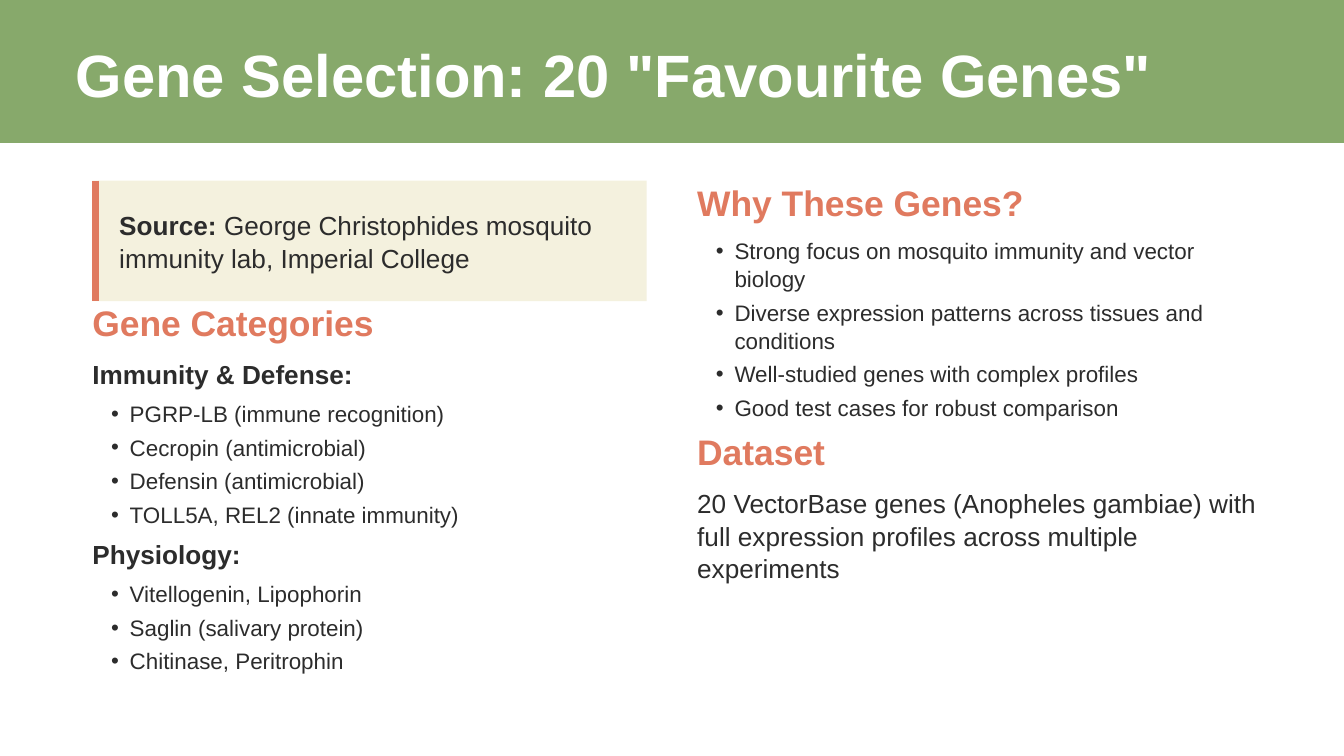
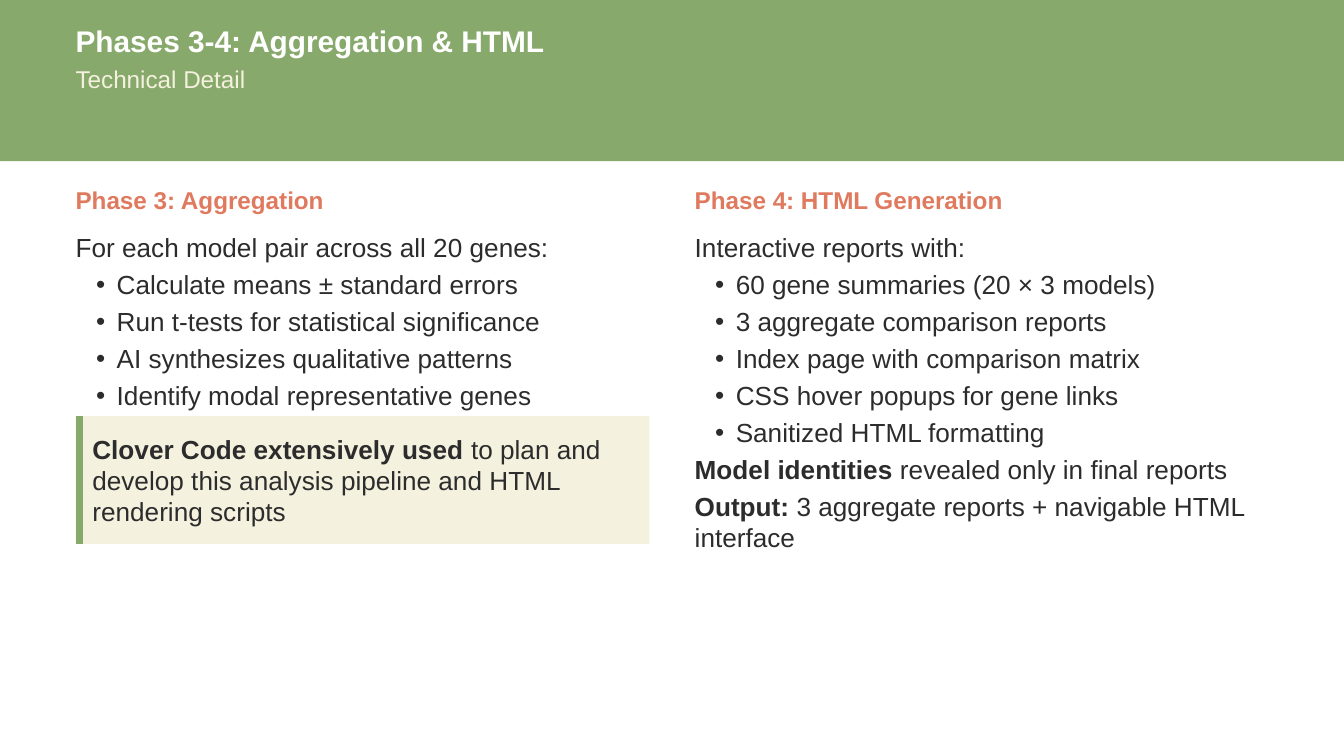
from dataclasses import dataclass

from lxml import etree
from pptx import Presentation, util as u
from pptx.dml.color import RGBColor
from pptx.enum import shapes, text
from pptx.oxml.ns import qn

COLS, ROWS = 160, 90
PT_PER_ROW = 4.5
FONT_LINE = 1.15    # natural line height of the font
TEXT_SLACK = 1.02   # running text is slightly wider than its column


@dataclass(frozen=True)
class Density:
    """Type sizes and spacing (points), places and padding (grid cells)."""
    band: float
    title_row: float
    title: float
    heading: float
    heading_gap: float
    body: float
    body_line: float
    body_gap: float
    item: float
    item_line: float
    list_gap: float
    indent: float
    card_pad: tuple
    accent: str


@dataclass(frozen=True)
class Theme:
    font: str = "Arial"
    green: str = "87A96B"
    coral: str = "E07A5F"
    cream: str = "F4F1DE"
    ink: str = "2C2C2C"
    white: str = "FFFFFF"
    item_gap: float = 3
    bar: float = 3.75
    subtitle: float = 13
    subtitle_line: float = 15.6
    roomy: Density = Density(
        band=17, title_row=4.5, title=32, heading=19, heading_gap=8,
        body=14, body_line=17.5, body_gap=5, item=12, item_line=15,
        list_gap=5, indent=10, card_pad=(3.2, 3.3), accent="E07A5F")
    compact: Density = Density(
        band=19.2, title_row=2.7, title=16, heading=13, heading_gap=10,
        body=14, body_line=16.8, body_gap=3, item=14, item_line=16.8,
        list_gap=3, indent=11, card_pad=(2, 2), accent="87A96B")


class Deck:
    def __init__(self, theme):
        self.theme = theme
        self.prs = Presentation()
        self.prs.slide_width = u.Inches(10)
        self.prs.slide_height = u.Inches(5.625)

    def x(self, cols):
        return round(self.prs.slide_width * cols / COLS)

    def y(self, rows):
        return round(self.prs.slide_height * rows / ROWS)

    def start(self, title, density, margin, gap, top):
        """Open a slide with its band, title and two columns."""
        self.d, self.top = density, top
        self.slide = self.prs.slides.add_slide(self.prs.slide_layouts[4])
        self.width = (COLS - 2 * margin - gap) / 2
        self.lefts = (margin, margin + self.width + gap)
        self.bodies = [p for p in self.slide.placeholders
                       if p.placeholder_format.idx]
        band = self.rect(0, 0, COLS, density.band, self.theme.green)
        band.element.getparent().insert(2, band.element)
        tf = self.frame(self.slide.shapes.title, 9, density.title_row, 145,
                        density.title * FONT_LINE / PT_PER_ROW)
        self.add_runs(tf.paragraphs[0], [(title, True)], density.title,
                      self.theme.white)

    def finish(self):
        """Drop the placeholders that the slide does not use."""
        for sp in self.bodies:
            sp.element.getparent().remove(sp.element)

    def column(self, number):
        self.left, self.row = self.lefts[number], self.top

    def advance(self, rows, gap=0):
        self.row += rows + gap / PT_PER_ROW

    def rect(self, left, top, width, height, color):
        sp = self.slide.shapes.add_shape(
            shapes.MSO_SHAPE.RECTANGLE, self.x(left), self.y(top),
            self.x(width), self.y(height))
        sp.shadow.inherit = False
        sp.fill.solid()
        sp.fill.fore_color.rgb = RGBColor.from_string(color)
        sp.line.fill.background()
        return sp

    def frame(self, sp, left, top, width, height, inset=0):
        """Place a text holder and clear its margins."""
        sp.left, sp.top = self.x(left), self.y(top)
        sp.width, sp.height = self.x(width), self.y(height)
        tf = sp.text_frame
        tf.word_wrap = True
        tf.auto_size = text.MSO_AUTO_SIZE.NONE
        tf.vertical_anchor = text.MSO_ANCHOR.TOP
        tf.margin_left = u.Pt(inset)
        tf.margin_top = tf.margin_right = tf.margin_bottom = 0
        return tf

    def box(self, *place):
        return self.frame(self.slide.shapes.add_textbox(0, 0, 0, 0), *place)

    def add_runs(self, p, runs, size, color, line=None, after=0):
        p.alignment = text.PP_ALIGN.LEFT
        p.space_before, p.space_after = u.Pt(0), u.Pt(after)
        if line:
            p.line_spacing = u.Pt(line)
        for words, bold in runs:
            r = p.add_run()
            r.text = words
            r.font.name, r.font.size, r.font.bold = (
                self.theme.font, u.Pt(size), bold)
            r.font.color.rgb = RGBColor.from_string(color)

    def subtitle(self, words):
        t = self.theme
        tf = self.box(9, 7.7, 145, t.subtitle_line / PT_PER_ROW)
        self.add_runs(tf.paragraphs[0], [(words, False)], t.subtitle, t.cream,
                      t.subtitle_line)

    def heading(self, words):
        d = self.d
        height = d.heading * FONT_LINE / PT_PER_ROW
        tf = self.box(self.left, self.row, self.width * TEXT_SLACK, height)
        self.add_runs(tf.paragraphs[0], [(words, True)], d.heading,
                      self.theme.coral, after=d.heading_gap)
        self.advance(height, d.heading_gap)

    def body(self, tf, runs):
        d = self.d
        self.add_runs(tf.paragraphs[0], runs, d.body, self.theme.ink,
                      d.body_line, d.body_gap)

    def paragraph(self, *runs, lines=1):
        height = lines * self.d.body_line / PT_PER_ROW
        self.body(self.box(self.left, self.row, self.width * TEXT_SLACK,
                           height), runs)
        self.advance(height, self.d.body_gap)

    def bullets(self, *items, lines=None):
        d, gap = self.d, self.theme.item_gap
        lines = lines or len(items)
        height = (lines * d.item_line + (len(items) - 1) * gap) / PT_PER_ROW
        tf = self.frame(self.bodies.pop(0), self.left, self.row, self.width,
                        height, d.indent)
        for i, item in enumerate(items):
            p = tf.add_paragraph() if i else tf.paragraphs[0]
            pPr = p._p.get_or_add_pPr()
            pPr.set("marL", str(u.Pt(d.indent)))
            pPr.set("indent", str(-u.Pt(d.indent)))
            etree.SubElement(pPr, qn("a:buChar")).set("char", "•")
            self.add_runs(p, [(item, False)], d.item, self.theme.ink,
                          d.item_line, gap)
        self.advance(height, d.list_gap)

    def card(self, *runs, lines):
        """Cream panel with an accent bar along its left side."""
        d = self.d
        pad_x, pad_y = d.card_pad
        text_height = lines * d.body_line / PT_PER_ROW
        height = text_height + 2 * pad_y
        self.rect(self.left, self.row, self.width, height, self.theme.cream)
        bar_x = self.x(self.left) + u.Pt(self.theme.bar) // 2
        bar = self.slide.shapes.add_connector(
            shapes.MSO_CONNECTOR.STRAIGHT, bar_x, self.y(self.row),
            bar_x, self.y(self.row + height))
        bar.line.color.rgb = RGBColor.from_string(d.accent)
        bar.line.width = u.Pt(self.theme.bar)
        etree.SubElement(bar.element.spPr, qn("a:effectLst"))
        self.body(self.box(self.left + pad_x, self.row + pad_y,
                           self.width - pad_x - 0.4, text_height), runs)
        self.advance(height)


def gene_selection(deck):
    deck.start('Gene Selection: 20 "Favourite Genes"', deck.theme.roomy,
               margin=11, gap=6, top=21.5)
    deck.column(0)
    deck.card(("Source:", True),
              (" George Christophides mosquito immunity lab, "
               "Imperial College", False), lines=2)
    deck.heading("Gene Categories")
    deck.paragraph(("Immunity & Defense:", True))
    deck.bullets("PGRP-LB (immune recognition)", "Cecropin (antimicrobial)",
                 "Defensin (antimicrobial)", "TOLL5A, REL2 (innate immunity)")
    deck.paragraph(("Physiology:", True))
    deck.bullets("Vitellogenin, Lipophorin", "Saglin (salivary protein)",
                 "Chitinase, Peritrophin")
    deck.column(1)
    deck.heading("Why These Genes?")
    deck.bullets("Strong focus on mosquito immunity and vector biology",
                 "Diverse expression patterns across tissues and conditions",
                 "Well-studied genes with complex profiles",
                 "Good test cases for robust comparison", lines=6)
    deck.heading("Dataset")
    deck.paragraph(("20 VectorBase genes (Anopheles gambiae) with full "
                    "expression profiles across multiple experiments", False),
                   lines=3)
    deck.finish()


def aggregation_and_html(deck):
    deck.start("Phases 3-4: Aggregation & HTML", deck.theme.compact,
               margin=9, gap=5.4, top=22)
    deck.subtitle("Technical Detail")
    deck.column(0)
    deck.heading("Phase 3: Aggregation")
    deck.paragraph(("For each model pair across all 20 genes:", False))
    deck.bullets("Calculate means ± standard errors",
                 "Run t-tests for statistical significance",
                 "AI synthesizes qualitative patterns",
                 "Identify modal representative genes")
    deck.card(("Clover Code extensively used", True),
              (" to plan and develop this analysis pipeline and HTML "
               "rendering scripts", False), lines=3)
    deck.column(1)
    deck.heading("Phase 4: HTML Generation")
    deck.paragraph(("Interactive reports with:", False))
    deck.bullets("60 gene summaries (20 × 3 models)",
                 "3 aggregate comparison reports",
                 "Index page with comparison matrix",
                 "CSS hover popups for gene links",
                 "Sanitized HTML formatting")
    deck.paragraph(("Model identities", True),
                   (" revealed only in final reports", False))
    deck.paragraph(("Output:", True),
                   (" 3 aggregate reports + navigable HTML interface", False),
                   lines=2)
    deck.finish()


def main():
    deck = Deck(Theme())
    gene_selection(deck)
    aggregation_and_html(deck)
    deck.prs.save("out.pptx")


if __name__ == "__main__":
    main()
